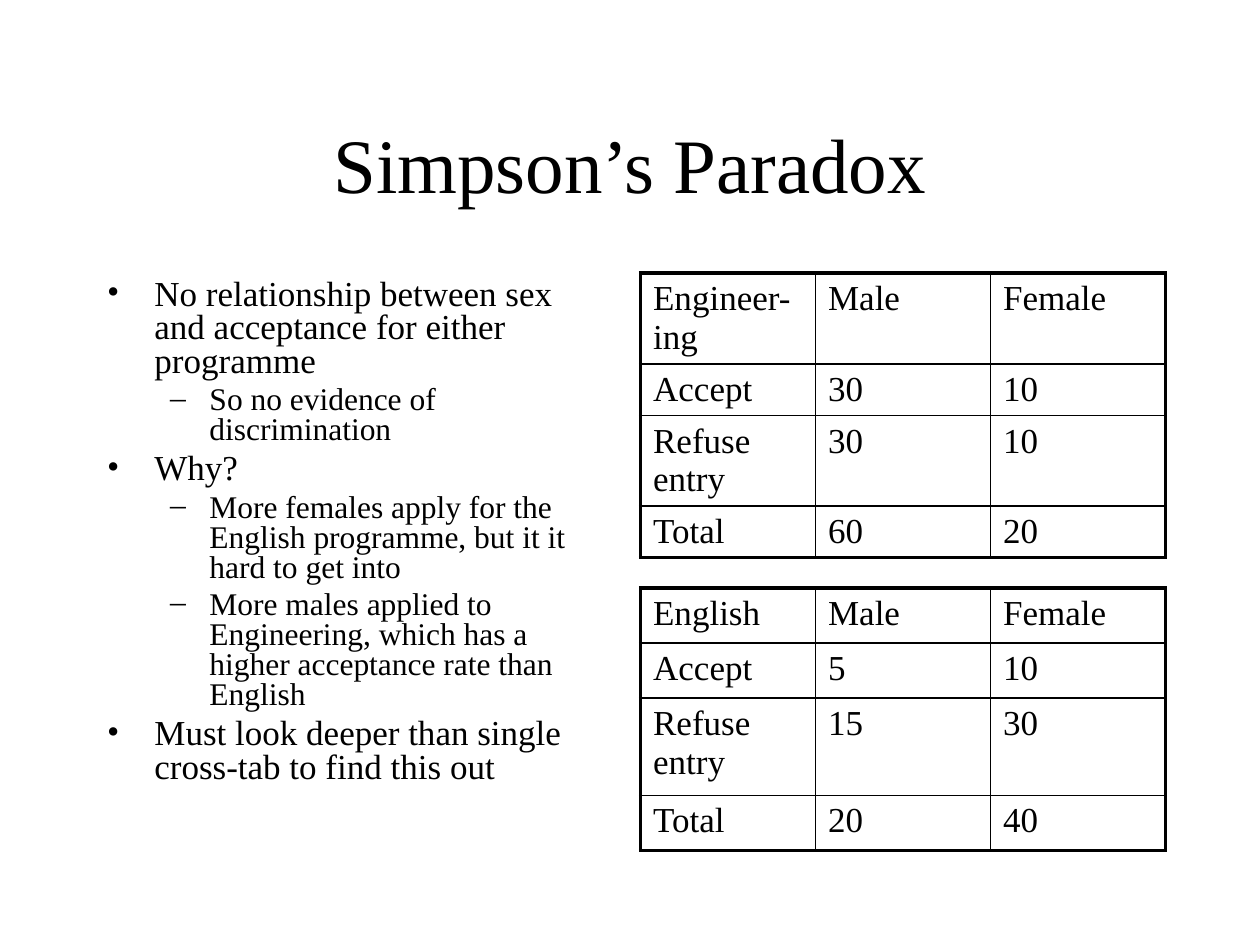
import pptx
import pptx.dml.color
import pptx.enum.text
import pptx.oxml.ns
import pptx.util
from lxml import etree

Pt = pptx.util.Pt
BLACK = pptx.dml.color.RGBColor(0, 0, 0)
FONT = "Times New Roman"
TABLE_LEFT, COLUMN_WIDTH = 366, 100
OUTER_LINE, INNER_LINE = 2.25, 1

# Per list level: text size, left margin, hanging indent, bullet
LEVELS = [(20, 27, 27, "•"), (18, 58.5, 22.5, "–")]
POINTS = [
    (0, "No relationship between sex and acceptance for either programme"),
    (1, "So no evidence of discrimination"),
    (0, "Why?"),
    (1, "More females apply for the English programme, but it it hard to get into"),
    (1, "More males applied to Engineering, which has a higher acceptance rate than English"),
    (0, "Must look deeper than single cross-tab to find this out"),
]
ENGINEERING = [
    ("Engineer-ing", "Male", "Female"),
    ("Accept", "30", "10"),
    ("Refuse entry", "30", "10"),
    ("Total", "60", "20"),
]
ENGLISH = [
    ("English", "Male", "Female"),
    ("Accept", "5", "10"),
    ("Refuse entry", "15", "30"),
    ("Total", "20", "40"),
]


def add_child(parent, tag, **attributes):
    return etree.SubElement(parent, pptx.oxml.ns.qn(tag), **attributes)


def add_run(para, text, size):
    span = para.add_run()
    span.text = text
    span.font.name = FONT
    span.font.size = Pt(size)
    span.font.color.rgb = BLACK


def place(shape, left, top, width, height):
    shape.left, shape.top = Pt(left), Pt(top)
    shape.width, shape.height = Pt(width), Pt(height)


def fill_title(box, text):
    place(box, 54, 48, 612, 90)
    box.text_frame.vertical_anchor = pptx.enum.text.MSO_ANCHOR.MIDDLE
    para = box.text_frame.paragraphs[0]
    para.alignment = pptx.enum.text.PP_ALIGN.CENTER
    add_run(para, text, 44)


def fill_list(box, points):
    place(box, 54, 156, 300, 324)
    frame = box.text_frame
    frame.auto_size = pptx.enum.text.MSO_AUTO_SIZE.NONE
    for index, (level, text) in enumerate(points):
        para = frame.add_paragraph() if index else frame.paragraphs[0]
        size, margin, hanging, bullet = LEVELS[level]
        para.level = level
        para.line_spacing = 0.8
        para.space_before = Pt(0.2 * size)
        properties = para._p.get_or_add_pPr()
        properties.set("marL", str(Pt(margin)))
        properties.set("indent", str(-Pt(hanging)))
        add_child(properties, "a:buFont", typeface=FONT)
        add_child(properties, "a:buChar", char=bullet)
        add_run(para, text, size)


def set_borders(cell, widths):
    """Draw the left, right, top and bottom lines of a cell, in that order."""
    properties = cell._tc.get_or_add_tcPr()
    for tag, width in zip(("a:lnL", "a:lnR", "a:lnT", "a:lnB"), widths):
        line = add_child(properties, tag, w=str(Pt(width)))
        fill = add_child(line, "a:solidFill")
        add_child(fill, "a:srgbClr", val=str(BLACK))


def add_crosstab(page, top, row_heights, rows):
    row_count, column_count = len(rows), len(rows[0])
    table = page.shapes.add_table(
        row_count, column_count, Pt(TABLE_LEFT), Pt(top),
        Pt(COLUMN_WIDTH * column_count), Pt(sum(row_heights)),
    ).table
    table.first_row = table.horz_banding = False
    for column in table.columns:
        column.width = Pt(COLUMN_WIDTH)
    for r, (height, texts) in enumerate(zip(row_heights, rows)):
        table.rows[r].height = Pt(height)
        for c, text in enumerate(texts):
            cell = table.cell(r, c)
            add_run(cell.text_frame.paragraphs[0], text, 20)
            on_edge = (c == 0, c == column_count - 1, r == 0, r == row_count - 1)
            set_borders(cell, [OUTER_LINE if edge else INNER_LINE for edge in on_edge])
            cell.fill.background()


def main():
    deck = pptx.Presentation()
    deck.slide_width, deck.slide_height = Pt(720), Pt(540)
    page = deck.slides.add_slide(deck.slide_layouts[1])
    fill_title(page.shapes.title, "Simpson’s Paradox")
    fill_list(page.placeholders[1], POINTS)
    add_crosstab(page, 156, (52, 29.5, 51.5, 29.5), ENGINEERING)
    add_crosstab(page, 336, (31.5, 31.5, 55.5, 31.5), ENGLISH)
    deck.save("out.pptx")


if __name__ == "__main__":
    main()
